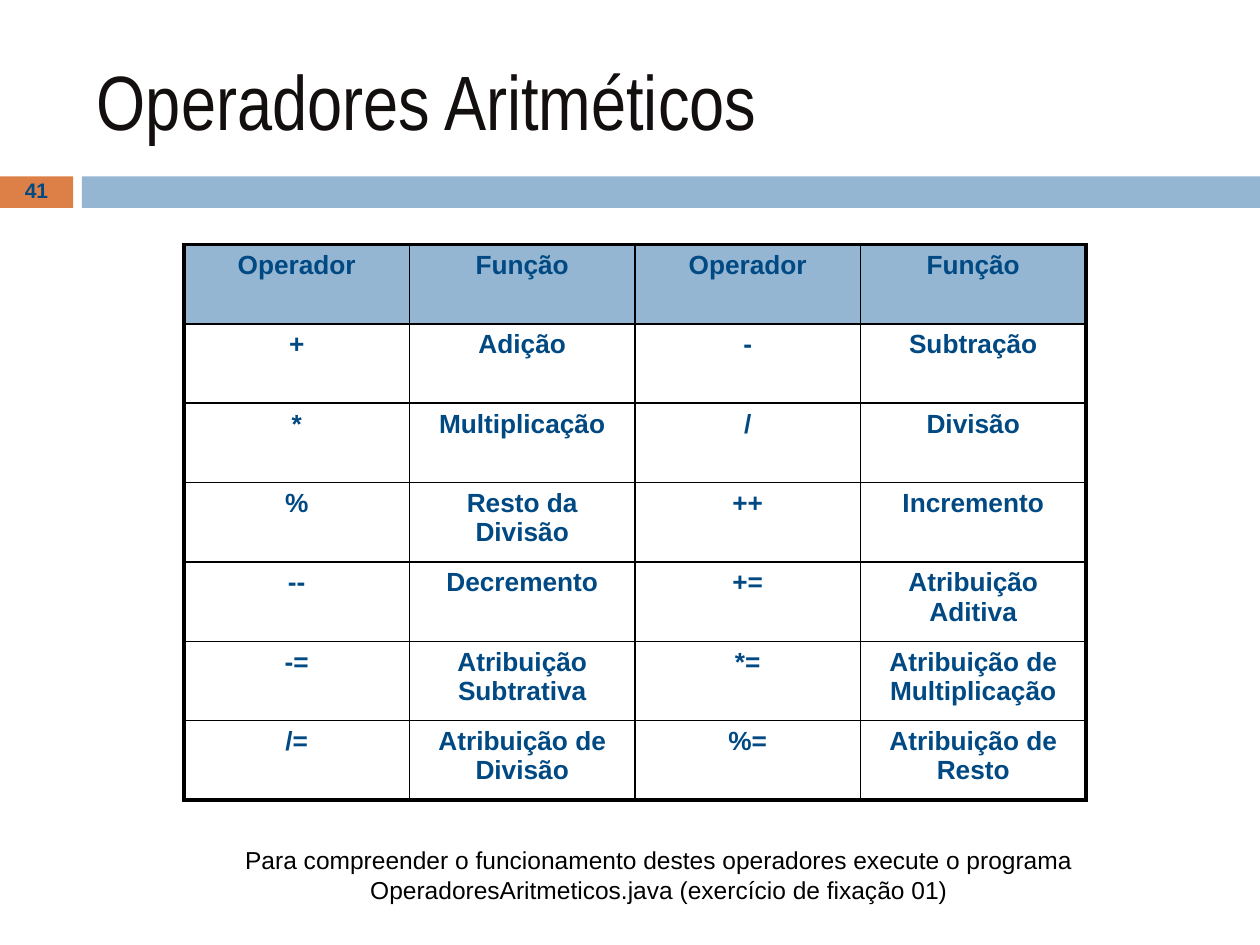
from lxml import etree
from pptx import Presentation
from pptx.dml.color import RGBColor
from pptx.enum.shapes import MSO_SHAPE
from pptx.enum.text import MSO_ANCHOR, PP_ALIGN
from pptx.oxml.ns import qn
from pptx.util import Inches, Pt

RECTANGLE = MSO_SHAPE.RECTANGLE
TOP, MIDDLE = MSO_ANCHOR.TOP, MSO_ANCHOR.MIDDLE
LEFT, CENTER = PP_ALIGN.LEFT, PP_ALIGN.CENTER

TITLE = "Operadores Aritméticos"
PAGE_NUMBER = "41"
OPERATORS = [
    ("Operador", "Função", "Operador", "Função"),
    ("+", "Adição", "-", "Subtração"),
    ("*", "Multiplicação", "/", "Divisão"),
    ("%", "Resto da Divisão", "++", "Incremento"),
    ("--", "Decremento", "+=", "Atribuição Aditiva"),
    ("-=", "Atribuição Subtrativa", "*=", "Atribuição de Multiplicação"),
    ("/=", "Atribuição de Divisão", "%=", "Atribuição de Resto"),
]
NOTE = ("Para compreender o funcionamento destes operadores execute o programa "
        "OperadoresAritmeticos.java (exercício de fixação 01)")

THEME = {
    "accent": "DD8047", "band": "94B6D2", "border": "000000",
    "outer_width": 2.25, "inner_width": 1,
    # font, size, colour, bold
    "title": ("Arial Narrow", 44, "130F0E", False),
    "number": ("Arial", 12, "004983", True),
    "cell": ("Arial", 15, "004983", True),
    "note": ("Arial", 14, "000000", False),
}
COLUMN_WIDTH, ROW_HEIGHT = 1.79, 0.63


def write(frame, text, style, align=CENTER):
    para = frame.paragraphs[0]
    para.alignment = align
    span = para.add_run()
    span.text = text
    font = span.font
    font.name, size, color, font.bold = THEME[style]
    font.size = Pt(size)
    font.color.rgb = RGBColor.from_string(color)
    return para


def add_text(page, place, text, style, align=CENTER, anchor=TOP):
    frame = page.shapes.add_textbox(*map(Inches, place)).text_frame
    frame.word_wrap = True
    frame.vertical_anchor = anchor
    return write(frame, text, style, align)


def add_bar(page, place, color):
    bar = page.shapes.add_shape(RECTANGLE, *map(Inches, place))
    bar.shadow.inherit = False
    bar.fill.solid()
    bar.fill.fore_color.rgb = RGBColor.from_string(THEME[color])
    bar.line.fill.background()


def set_borders(cell, outer_sides):
    """Draw all four sides, thicker where the side is on the table's edge."""
    properties = cell._tc.get_or_add_tcPr()
    for index, side in enumerate(("lnL", "lnR", "lnT", "lnB")):
        width = THEME["outer_width" if side in outer_sides else "inner_width"]
        line = etree.Element(qn("a:" + side), w=str(Pt(width)))
        fill = etree.SubElement(line, qn("a:solidFill"))
        etree.SubElement(fill, qn("a:srgbClr"), val=THEME["border"])
        properties.insert(index, line)


def add_operator_table(page, left, top):
    rows, columns = len(OPERATORS), len(OPERATORS[0])
    table = page.shapes.add_table(
        rows, columns, Inches(left), Inches(top),
        Inches(COLUMN_WIDTH * columns), Inches(ROW_HEIGHT * rows)).table
    table.horz_banding = False
    for column in table.columns:
        column.width = Inches(COLUMN_WIDTH)
    for row in table.rows:
        row.height = Inches(ROW_HEIGHT)
    for r, texts in enumerate(OPERATORS):
        for c, text in enumerate(texts):
            cell = table.cell(r, c)
            write(cell.text_frame, text, "cell")
            if r == 0:
                cell.fill.solid()
                cell.fill.fore_color.rgb = RGBColor.from_string(THEME["band"])
            else:
                cell.fill.background()
            edges = {"lnL": c == 0, "lnR": c == columns - 1,
                     "lnT": r == 0, "lnB": r == rows - 1}
            set_borders(cell, [side for side, outer in edges.items() if outer])


def main():
    deck = Presentation()
    deck.slide_width, deck.slide_height = Inches(10), Inches(7.5)
    page = deck.slides.add_slide(deck.slide_layouts[6])
    add_bar(page, (0, 1.4, 0.58, 0.25), "accent")
    add_bar(page, (0.65, 1.4, 9.35, 0.25), "band")
    add_text(page, (0.67, 0.25, 8.92, 1.08), TITLE, "title", LEFT, MIDDLE)
    number = add_text(page, (0, 1.39, 0.58, 0.27), PAGE_NUMBER, "number",
                      anchor=MIDDLE)
    number.line_spacing = 0.8
    add_operator_table(page, 1.46, 1.94)
    add_text(page, (1.69, 6.66, 7.08, 0.57), NOTE, "note")
    deck.save("out.pptx")


if __name__ == "__main__":
    main()
